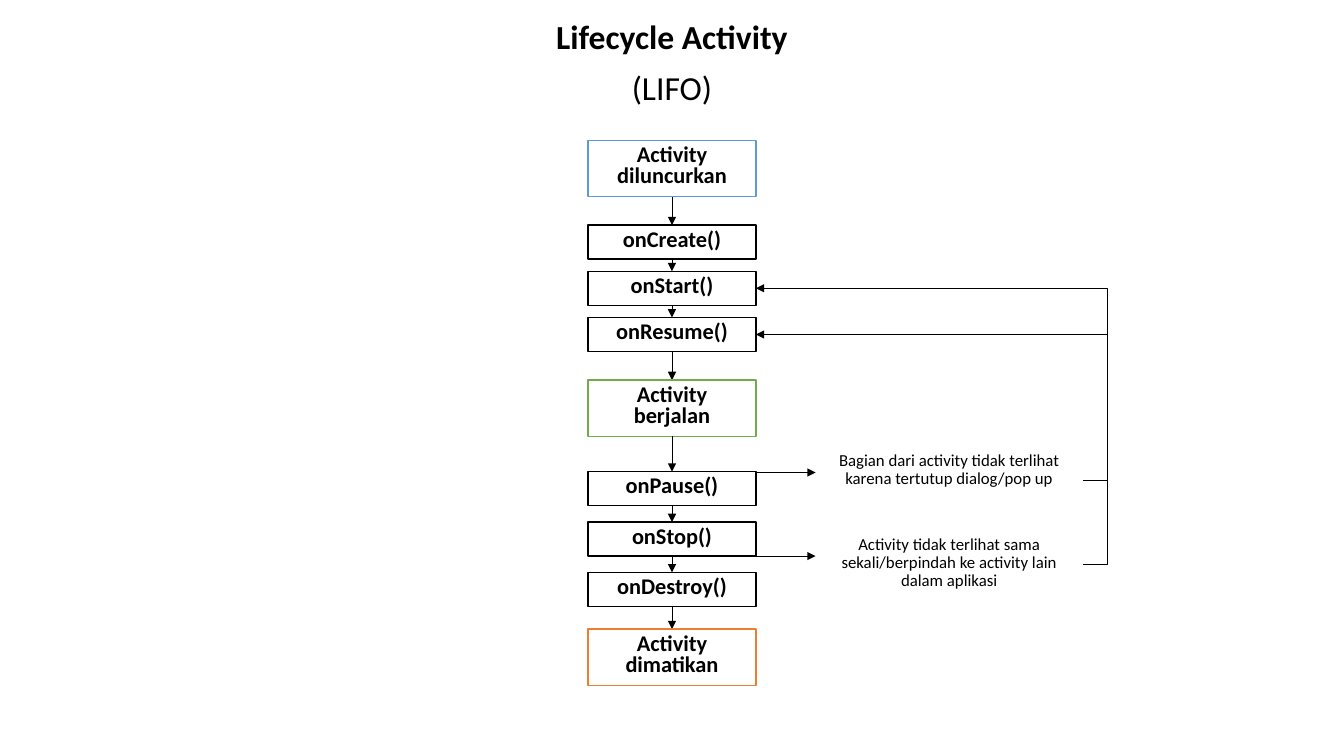
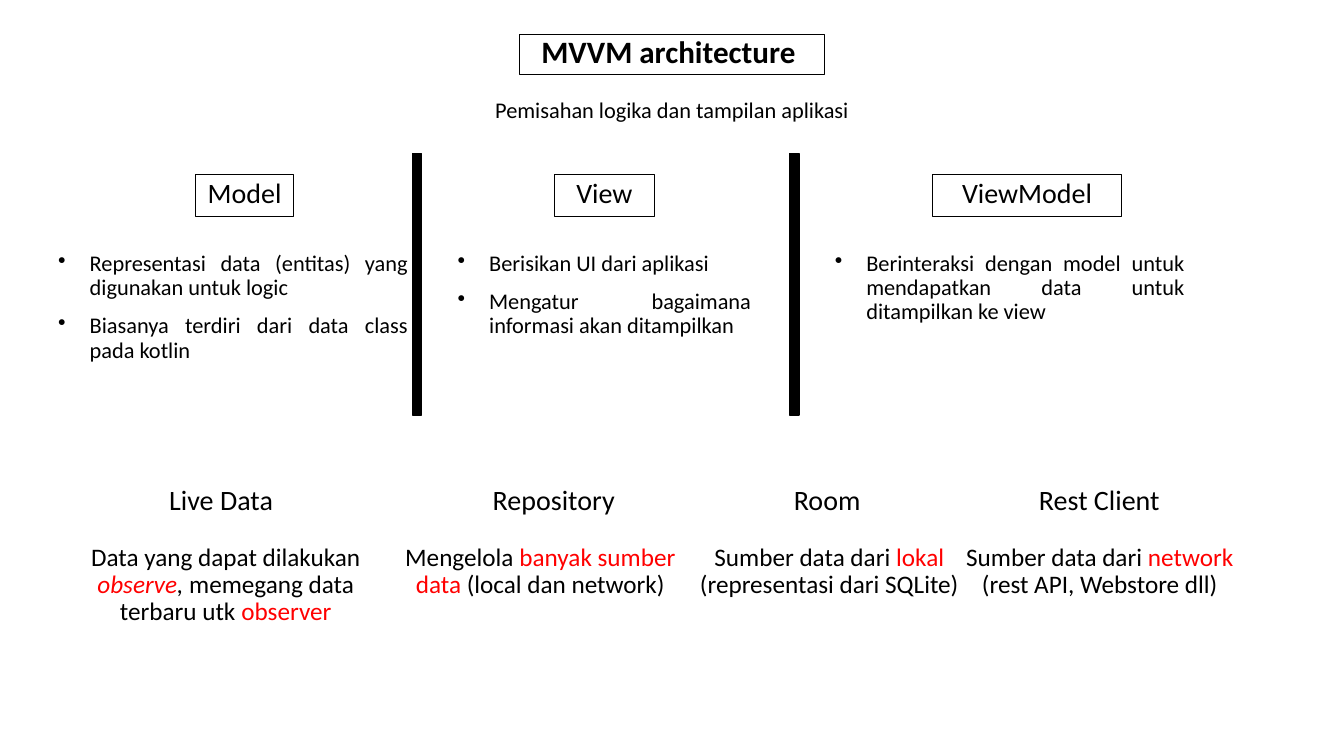
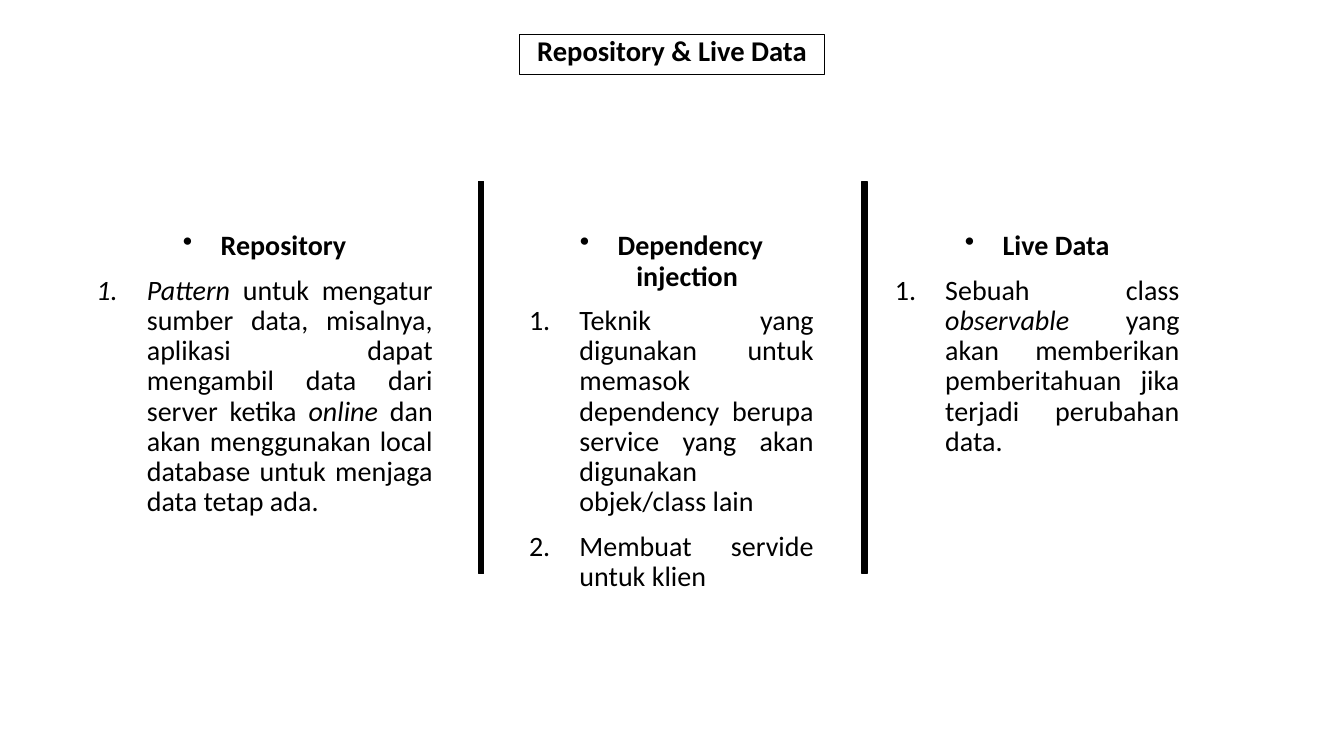
"""Three slides on the mobile activity lifecycle and the MVVM architecture."""
from dataclasses import dataclass

from lxml import etree
from pptx import Presentation
from pptx.dml.color import RGBColor
from pptx.enum.shapes import MSO_CONNECTOR, MSO_SHAPE
from pptx.enum.text import MSO_ANCHOR, PP_ALIGN
from pptx.oxml.ns import qn
from pptx.util import Emu, Pt

RECT = MSO_SHAPE.RECTANGLE
STRAIGHT, ELBOW = MSO_CONNECTOR.STRAIGHT, MSO_CONNECTOR.ELBOW
TOP = MSO_ANCHOR.TOP
CENTER, JUSTIFY = PP_ALIGN.CENTER, PP_ALIGN.JUSTIFY

COLUMNS, ROWS = 160, 90
CELL = 76200  # square grid cell, in EMU
MIDDLE = COLUMNS / 2


@dataclass(frozen=True)
class Theme:
    """Colours, font and type sizes of the deck."""
    font: str = "Calibri"
    ink: str = "000000"
    paper: str = "FFFFFF"
    accent: str = "FF0000"
    launched: str = "5B9BD5"
    running: str = "70AD47"
    ended: str = "ED7D31"
    display: float = 24
    title: float = 22.2
    title_small: float = 20.4
    heading: float = 20
    body: float = 18
    text: float = 16
    note: float = 12
    outline: float = 1
    arrow: float = 0.5
    tight: float = 0.8
    normal: float = 0.9
    before: float = 10


THEME = Theme()


@dataclass(frozen=True)
class Box:
    """A rectangle in grid columns and rows."""
    left: float
    top: float
    width: float
    height: float

    @property
    def right(self) -> float:
        """Right edge."""
        return self.left + self.width

    @property
    def bottom(self) -> float:
        """Bottom edge."""
        return self.top + self.height

    @property
    def middle(self) -> float:
        """Vertical centre."""
        return self.top + self.height / 2

    def emu(self) -> list[Emu]:
        """Position and size as lengths."""
        return [grid(v) for v in (self.left, self.top, self.width, self.height)]


@dataclass(frozen=True)
class Run:
    """A stretch of text in one format."""
    text: str
    color: str = THEME.ink
    italic: bool = False


@dataclass(frozen=True)
class Para:
    """A paragraph: its runs, weight, alignment and list marker."""
    runs: tuple[Run, ...]
    bold: bool = False
    align: int = CENTER
    marker: str = ""
    indent: float = 0


@dataclass(frozen=True)
class Step:
    """A lifecycle step; gap is the distance to the next one."""
    text: str
    height: float
    gap: float
    line: str = THEME.ink
    filled: bool = False


@dataclass(frozen=True)
class Column:
    """A text column with an optional heading."""
    left: float
    width: float
    paras: tuple[Para, ...]
    heading: str = ""
    head_left: float = 0
    head_width: float = 0


def grid(value: float) -> Emu:
    """Turn grid units into a length."""
    return Emu(round(value * CELL))


def plain(text: str, **fmt) -> Para:
    """Make a paragraph of one run."""
    return Para((Run(text),), **fmt)


def listed(*texts: str) -> tuple[Para, ...]:
    """Make justified bullet paragraphs."""
    return tuple(plain(t, align=JUSTIFY, marker="bullet", indent=3.75) for t in texts)


def numbered(*runs: Run) -> Para:
    """Make a justified numbered paragraph."""
    return Para(runs, align=JUSTIFY, marker="number", indent=6)


def topic(text: str) -> Para:
    """Make a bold, centred bullet paragraph."""
    return plain(text, bold=True, marker="bullet", indent=4.5)


def write(tf, paras: tuple[Para, ...], *, size: float,
          spacing: float = THEME.normal) -> None:
    """Fill a text frame with paragraphs."""
    tf.word_wrap = True
    tf.vertical_anchor = TOP
    for i, para in enumerate(paras):
        p = tf.paragraphs[0] if i == 0 else tf.add_paragraph()
        p.alignment = para.align
        p.line_spacing = spacing
        p.space_before = Pt(THEME.before)
        if para.marker:
            add_marker(p, para)
        for run in para.runs:
            r = p.add_run()
            r.text = run.text
            r.font.name, r.font.size = THEME.font, Pt(size)
            r.font.bold, r.font.italic = para.bold, run.italic
            r.font.color.rgb = RGBColor.from_string(run.color)


def add_marker(p, para: Para) -> None:
    """Give a paragraph a hanging bullet or number."""
    pPr = p._p.get_or_add_pPr()
    pPr.set("marL", str(grid(para.indent)))
    pPr.set("indent", str(-grid(para.indent)))
    if para.marker == "bullet":
        etree.SubElement(pPr, qn("a:buChar")).set("char", "•")
    else:
        etree.SubElement(pPr, qn("a:buAutoNum")).set("type", "arabicPeriod")


def add_label(slide, box: Box, *paras: Para, size: float) -> None:
    """Add a text box."""
    write(slide.shapes.add_textbox(*box.emu()).text_frame, paras, size=size)


def add_frame(slide, box: Box, *paras: Para, size: float = THEME.text,
              spacing: float = THEME.normal, line: str = THEME.ink,
              fill: str = "") -> None:
    """Add an outlined rectangle, with or without text and fill."""
    sp = slide.shapes.add_shape(RECT, *box.emu())
    sp.shadow.inherit = False
    sp.line.color.rgb = RGBColor.from_string(line)
    sp.line.width = Pt(THEME.outline)
    if fill:
        sp.fill.solid()
        sp.fill.fore_color.rgb = RGBColor.from_string(fill)
    else:
        sp.fill.background()
    write(sp.text_frame, paras, size=size, spacing=spacing)


def add_arrow(slide, start: tuple[float, float], end: tuple[float, float],
              bend: float | None = None) -> None:
    """Add an arrow; bend is the share of its width at which it turns."""
    kind = STRAIGHT if bend is None else ELBOW
    sp = slide.shapes.add_connector(kind, *map(grid, start + end))
    sp.line.color.rgb = RGBColor.from_string(THEME.ink)
    sp.line.width = Pt(THEME.arrow)
    etree.SubElement(sp.line._get_or_add_ln(), qn("a:tailEnd")).set("type", "triangle")
    spPr = sp._element.spPr
    etree.SubElement(spPr, qn("a:effectLst"))
    if bend is not None:
        geom = spPr.find(qn("a:prstGeom"))
        guides = geom.find(qn("a:avLst"))
        if guides is None:
            guides = etree.SubElement(geom, qn("a:avLst"))
        gd = etree.SubElement(guides, qn("a:gd"))
        gd.set("name", "adj1")
        gd.set("fmla", f"val {round(bend * 100000)}")


def add_title(slide, text: str, size: float) -> None:
    """Add the framed title at the top of a slide."""
    width = 36.25
    add_frame(slide, Box(MIDDLE - width / 2, 4.1, width, 4.8),
              plain(text, bold=True), size=size, spacing=THEME.tight)


def add_bars(slide, lefts: tuple[float, ...], top: float, width: float,
             height: float) -> None:
    """Add the upright bars between columns."""
    for left in lefts:
        add_frame(slide, Box(left, top, width, height), fill=THEME.ink)


TALL, LOW = 6.7, 4.05
STEPS = (
    Step("Activity diluncurkan", TALL, 3.4, THEME.launched, True),
    Step("onCreate()", LOW, 1.45),
    Step("onStart()", LOW, 1.45),
    Step("onResume()", LOW, 3.4),
    Step("Activity berjalan", TALL, 4.2, THEME.running, True),
    Step("onPause()", LOW, 1.95),
    Step("onStop()", LOW, 1.95),
    Step("onDestroy()", LOW, 2.7),
    Step("Activity dimatikan", TALL, 0, THEME.ended, True),
)


def draw_lifecycle(slide) -> None:
    """Draw the chain of callbacks with its two ways back."""
    add_label(slide, Box(52.8, 1.9, 54.4, 11.9),
              plain("Lifecycle Activity", bold=True), plain("(LIFO)"),
              size=THEME.display)
    width, top = 20, 16.7
    boxes = {}
    for step in STEPS:
        box = Box(MIDDLE - width / 2, top, width, step.height)
        boxes[step.text] = box
        add_frame(slide, box, plain(step.text, bold=True), spacing=THEME.tight,
                  line=step.line, fill=THEME.paper if step.filled else "")
        top = box.bottom + step.gap
        if step.gap:
            add_arrow(slide, (MIDDLE, box.bottom), (MIDDLE, top))

    detours = (
        (boxes["onPause()"].top + 0.1, boxes["onResume()"],
         "Bagian dari activity tidak terlihat karena tertutup dialog/pop up"),
        (boxes["onStop()"].bottom, boxes["onStart()"],
         "Activity tidak terlihat sama sekali/berpindah ke activity lain dalam aplikasi"),
    )
    for row, target, text in detours:
        note = Box(97.1, row - 3, 31.8, 7.9)
        add_arrow(slide, (target.right, row), (note.left, row))
        add_label(slide, note, plain(text), size=THEME.note)
        add_arrow(slide, (note.right, note.middle), (target.right, target.middle),
                  bend=-3 / (note.right - target.right))


LAYERS = (
    Column(5.75, 44, listed("Representasi data (entitas) yang digunakan untuk logic",
                            "Biasanya terdiri dari data class pada kotlin"),
           "Model", 23.3, 11.65),
    Column(53.3, 37.3, listed("Berisikan UI dari aplikasi",
                              "Mengatur bagaimana informasi akan ditampilkan "),
           "View", 66, 11.9),
    Column(98.2, 44, listed("Berinteraksi dengan model untuk mendapatkan data "
                            "untuk ditampilkan ke view"),
           "ViewModel", 111, 22.55),
)
PART_WIDTH, PART_HEAD = 37.45, 17.15
PARTS = (
    Column(8.15, PART_WIDTH,
           (Para((Run("Data yang dapat dilakukan "),
                  Run("observe", THEME.accent, True), Run(", ", italic=True),
                  Run("memegang data terbaru utk "),
                  Run("observer", THEME.accent))),),
           "Live Data", 17.75, PART_HEAD),
    Column(45.6, PART_WIDTH,
           (Para((Run("Mengelola "), Run("banyak sumber data", THEME.accent),
                  Run(" (local dan network)"))),),
           "Repository ", 57.35, PART_HEAD),
    Column(80, PART_WIDTH,
           (Para((Run("Sumber data dari "), Run("lokal", THEME.accent),
                  Run(" (representasi dari SQLite)"))),),
           "Room", 89.9, PART_HEAD),
    Column(112.2, PART_WIDTH,
           (Para((Run("Sumber data dari "), Run("network", THEME.accent),
                  Run(" (rest API, Webstore dll)"))),),
           "Rest Client", 122.3, PART_HEAD),
)


def draw_mvvm(slide) -> None:
    """Draw the three layers and the four parts below them."""
    row = 5
    add_title(slide, "MVVM architecture ", THEME.title)
    add_label(slide, Box(45.1, 11.2, 69.8, row),
              plain("Pemisahan logika dan tampilan aplikasi"), size=THEME.text)
    add_bars(slide, (49.1, 94), 18.3, 1.1, 31.1)
    for col in LAYERS:
        add_frame(slide, Box(col.head_left, 20.75, col.head_width, row),
                  plain(col.heading), size=THEME.heading)
        add_label(slide, Box(col.left, 29.45, col.width, row), *col.paras,
                  size=THEME.text)
    for col in PARTS:
        add_label(slide, Box(col.head_left, 57.25, col.head_width, row),
                  plain(col.heading), size=THEME.heading)
        add_label(slide, Box(col.left, 64.25, col.width, row), *col.paras,
                  size=THEME.body)


TOPICS = (
    Column(10.3, 42.4, (
        topic("Repository"),
        numbered(Run("Pattern ", italic=True),
                 Run("untuk mengatur sumber data, misalnya, aplikasi dapat "
                     "mengambil data dari server ketika "),
                 Run("online", italic=True),
                 Run(" dan akan menggunakan local database untuk menjaga "
                     "data tetap ada.")))),
    Column(61.8, 36.25, (
        topic("Dependency injection "),
        numbered(Run("Teknik yang digunakan untuk memasok dependency berupa "
                     "service yang akan digunakan objek/class lain")),
        numbered(Run("Membuat servide untuk klien")))),
    Column(105.35, 36.25, (
        topic("Live Data"),
        numbered(Run("Sebuah class "), Run("observable ", italic=True),
                 Run("yang akan memberikan pemberitahuan jika terjadi "
                     "perubahan data.")))),
)


def draw_repository(slide) -> None:
    """Draw the three topics side by side."""
    add_title(slide, "Repository & Live Data", THEME.title_small)
    add_bars(slide, (57, 102.6), 21.6, 0.6, 46.7)
    for col in TOPICS:
        add_label(slide, Box(col.left, 27, col.width, 8), *col.paras,
                  size=THEME.heading)


def main() -> None:
    """Build and save the deck."""
    prs = Presentation()
    prs.slide_width, prs.slide_height = grid(COLUMNS), grid(ROWS)
    blank = prs.slide_layouts[6]
    for draw in (draw_lifecycle, draw_mvvm, draw_repository):
        draw(prs.slides.add_slide(blank))
    prs.save("out.pptx")


main()
